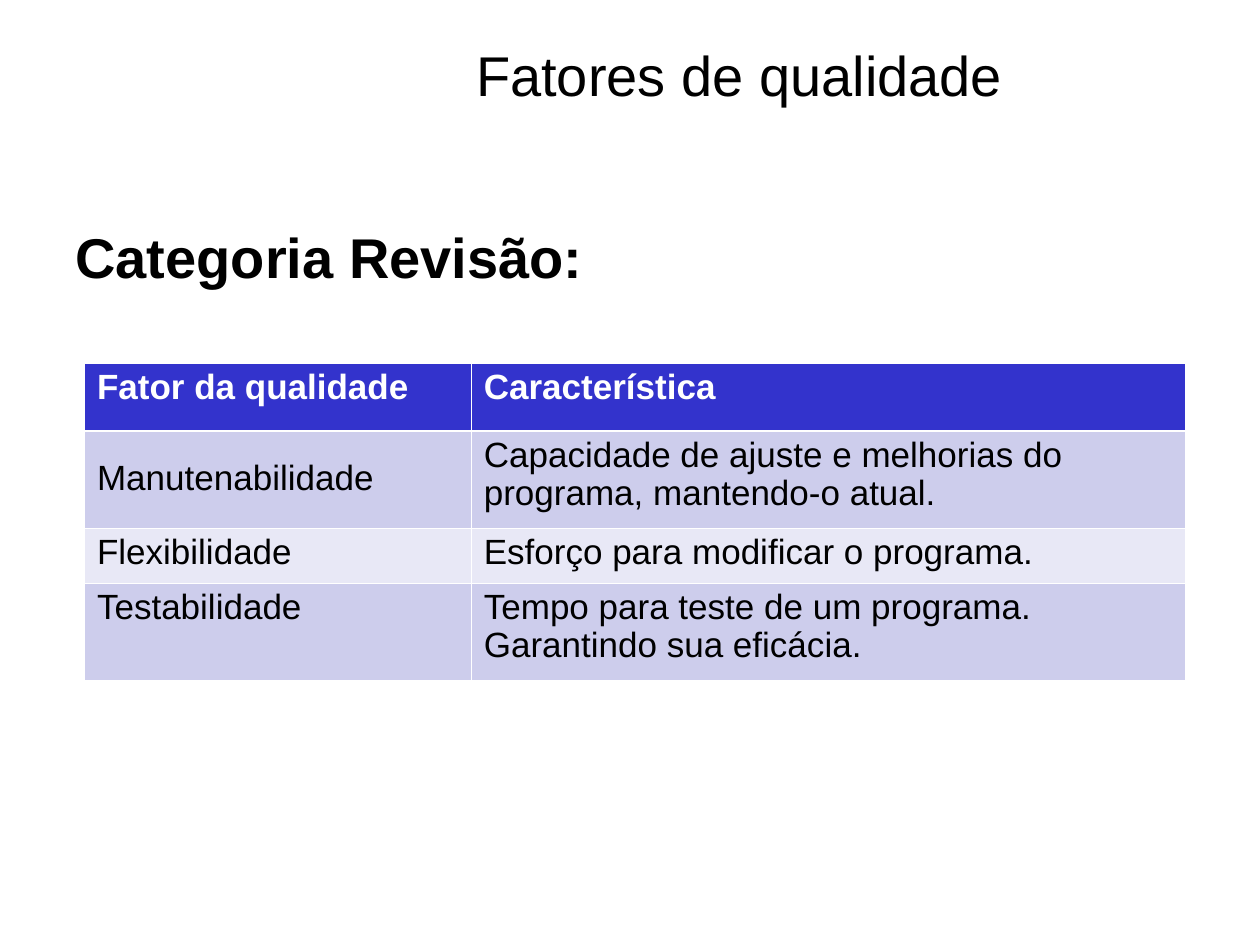
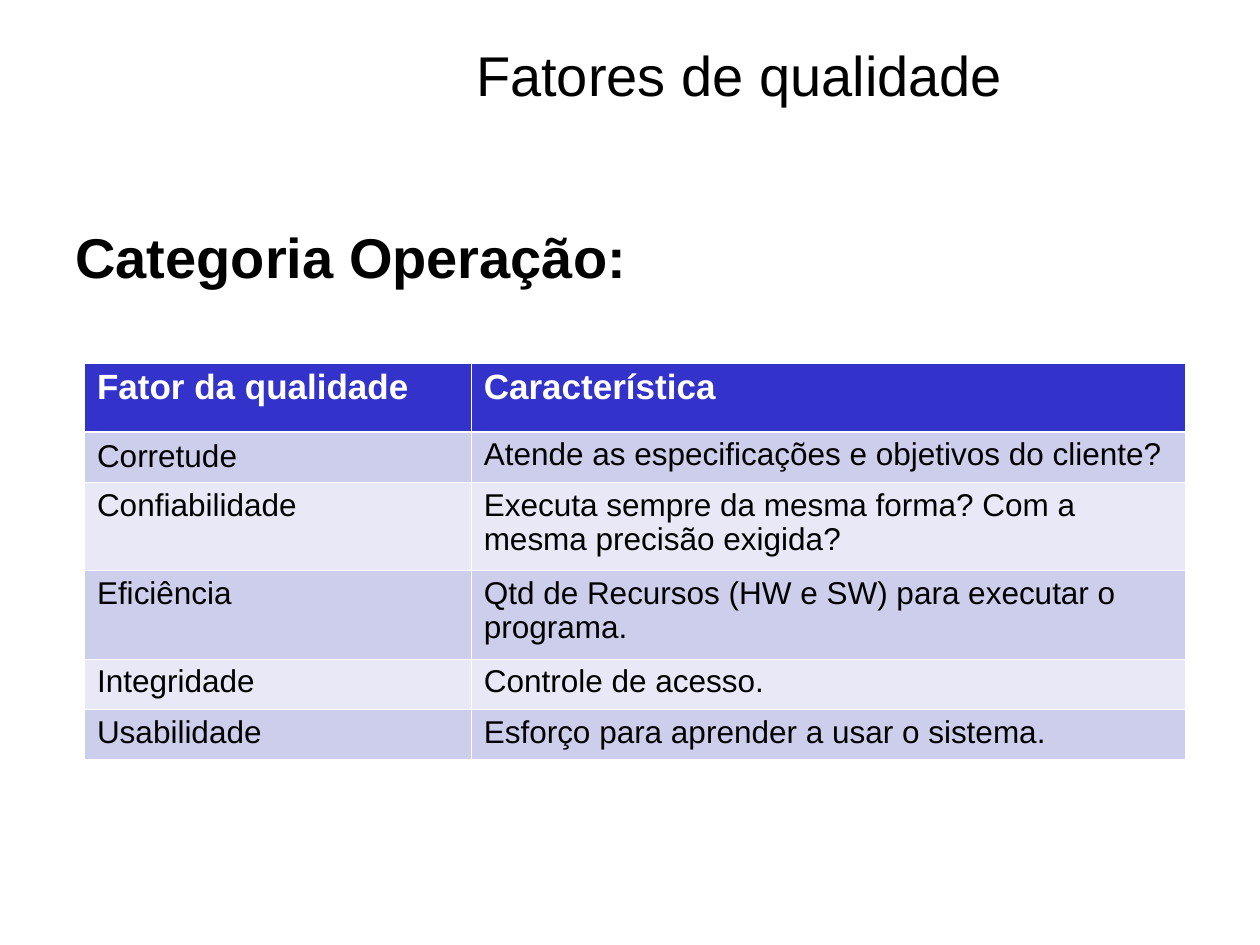
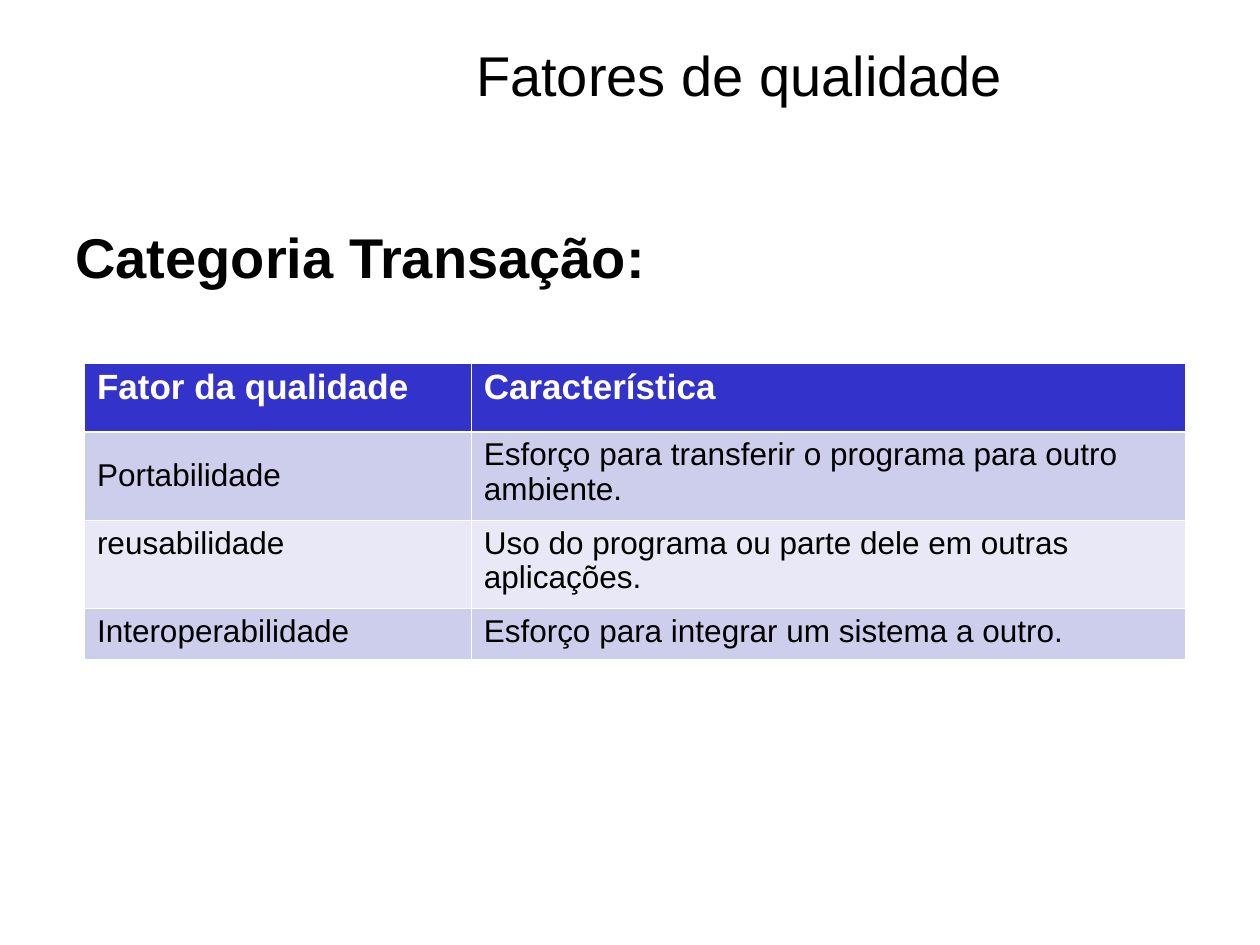
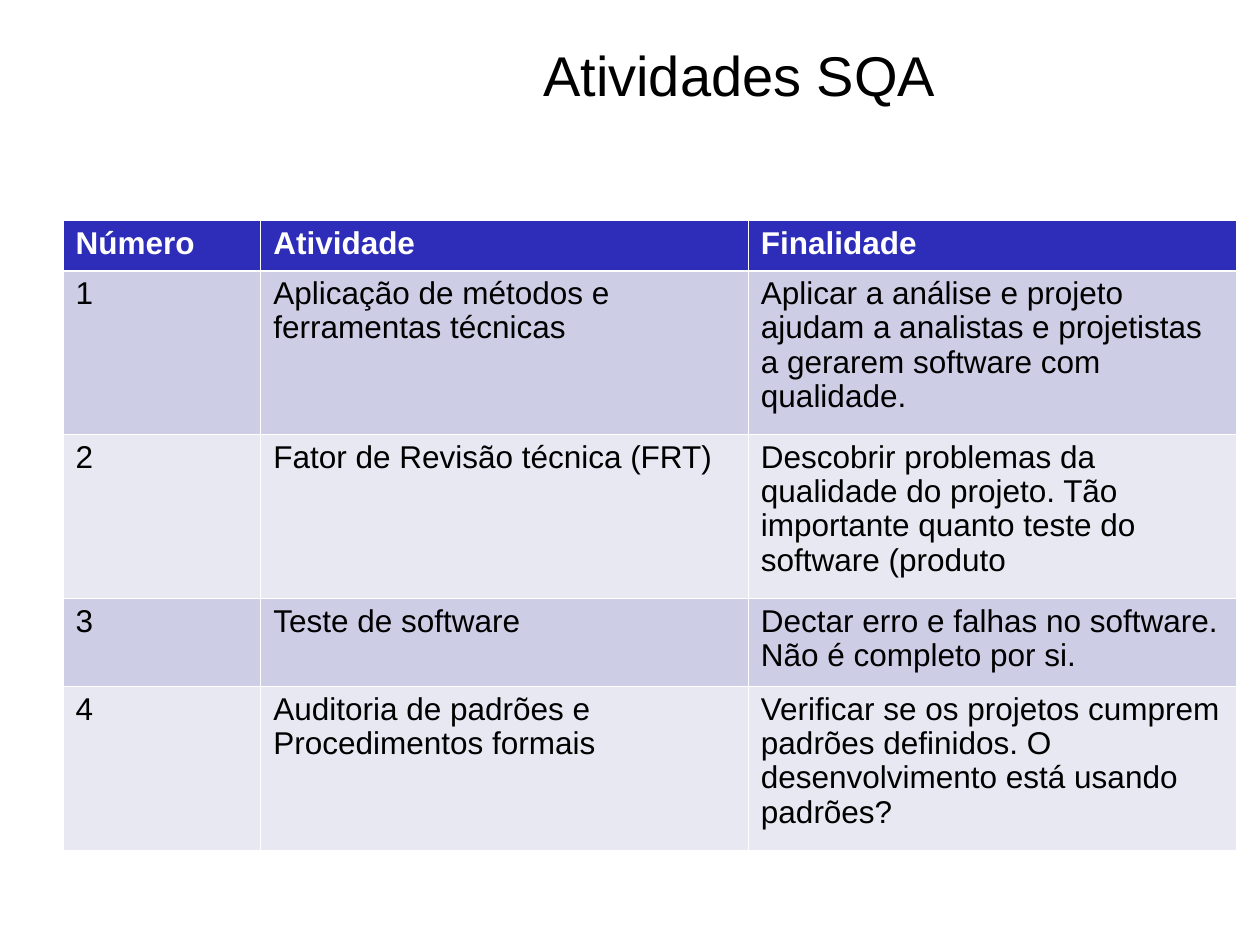
from lxml import etree
from pptx import Presentation
from pptx.dml.color import RGBColor
from pptx.enum.text import MSO_ANCHOR, PP_ALIGN
from pptx.oxml.ns import qn
from pptx.util import Inches, Pt

CENTER, LEFT = PP_ALIGN.CENTER, PP_ALIGN.LEFT
TOP, MIDDLE = MSO_ANCHOR.TOP, MSO_ANCHOR.MIDDLE
FONT = "Arial"
COLORS = {"text": "000000", "white": "FFFFFF"}
VIVID = {"header": "3333CC", "odd": "CDCDEC", "even": "E8E8F6"}
MUTED = {"header": "2D2DB9", "odd": "CDCDE6", "even": "E8E8F3"}
HEADING = {"size": Pt(32), "bold": False}
CATEGORY = {"size": Pt(32), "bold": True}
THIN, THICK = 0.45, 1.47
LINE_SPACING = 0.97
FACTOR_HEADER = ("Fator da qualidade", "Característica")

CATEGORIES = [
    ("Categoria Revisão:", 20, (0.54, 0.77, 0.44, 0.77), [
        ("Manutenabilidade",
         "Capacidade de ajuste e melhorias do programa, mantendo-o atual."),
        ("Flexibilidade", "Esforço para modificar o programa."),
        ("Testabilidade",
         "Tempo para teste de um programa. Garantindo sua eficácia."),
    ]),
    ("Categoria Operação:", 18, (0.55, 0.4, 0.7, 0.7, 0.4, 0.4), [
        ("Corretude", "Atende as especificações e objetivos do cliente?"),
        ("Confiabilidade",
         "Executa sempre da mesma forma? Com a mesma precisão exigida?"),
        ("Eficiência", "Qtd de Recursos (HW e SW) para executar o programa."),
        ("Integridade", "Controle de acesso."),
        ("Usabilidade", "Esforço para aprender a usar o sistema."),
    ]),
    ("Categoria Transação:", 18, (0.55, 0.7, 0.7, 0.4), [
        ("Portabilidade",
         "Esforço para transferir o programa para outro ambiente."),
        ("reusabilidade",
         "Uso do programa ou parte dele em outras aplicações."),
        ("Interoperabilidade", "Esforço para integrar um sistema a outro."),
    ]),
]

ACTIVITIES = [
    ("Número", "Atividade", "Finalidade"),
    ("1", "Aplicação de métodos e ferramentas técnicas",
     "Aplicar a análise e projeto ajudam a analistas e projetistas "
     "a gerarem software com qualidade."),
    ("2", "Fator de Revisão técnica (FRT)",
     "Descobrir problemas da qualidade do projeto. Tão importante "
     "quanto teste do software (produto"),
    ("3", "Teste de software",
     "Dectar erro e falhas no software. Não é completo por si."),
    ("4", "Auditoria de padrões e Procedimentos formais",
     "Verificar se os projetos cumprem padrões definidos. "
     "O desenvolvimento está usando padrões?"),
]


def write(tf, text, style, color="text", align=LEFT):
    p = tf.paragraphs[0]
    p.alignment = align
    p.line_spacing = LINE_SPACING
    r = p.add_run()
    r.text = text
    for name, value in {"name": FONT, **style}.items():
        setattr(r.font, name, value)
    r.font.color.rgb = RGBColor.from_string(COLORS[color])


def add_text(slide, box, text, style, align=LEFT):
    sp = slide.shapes.add_textbox(*map(Inches, box))
    tf = sp.text_frame
    tf.word_wrap = True
    tf.vertical_anchor = TOP
    write(tf, text, style, align=align)


def add_slide(prs, title):
    slide = prs.slides.add_slide(prs.slide_layouts[6])
    add_text(slide, (2.24, 0.3, 7.26, 0.85), title, HEADING, CENTER)
    return slide


def set_borders(cell, widths):
    tc_pr = cell._tc.get_or_add_tcPr()
    for i, (side, width) in enumerate(widths.items()):
        ln = etree.Element(qn(f"a:ln{side}"), w=str(Pt(width)))
        fill = etree.SubElement(ln, qn("a:solidFill"))
        etree.SubElement(fill, qn("a:srgbClr"), val=COLORS["white"])
        tc_pr.insert(i, ln)


def add_grid(slide, left, top, cols, heights, rows, palette, sizes):
    frame = slide.shapes.add_table(
        len(rows), len(cols), Inches(left), Inches(top),
        Inches(sum(cols)), Inches(sum(heights)))
    table = frame.table
    for column, width in zip(table.columns, cols):
        column.width = Inches(width)
    for i, (row, height, texts) in enumerate(zip(table.rows, heights, rows)):
        row.height = Inches(height)
        header = i == 0
        band = "header" if header else "odd" if i % 2 else "even"
        style = {"size": Pt(sizes[0] if header else sizes[1]), "bold": header}
        for cell, text in zip(row.cells, texts):
            cell.fill.solid()
            cell.fill.fore_color.rgb = RGBColor.from_string(palette[band])
            set_borders(cell, {"L": THIN, "R": THIN,
                               "T": THICK if i == 1 else THIN,
                               "B": THICK if header else THIN})
            write(cell.text_frame, text, style, "white" if header else "text")
    return table


def add_category(prs, name, size, heights, factors):
    slide = add_slide(prs, "Fatores de qualidade")
    add_text(slide, (0.5, 1.75, 9, 4.95), name, CATEGORY)
    table = add_grid(slide, 0.67, 2.88, (3.07, 5.67), heights,
                     [FACTOR_HEADER, *factors], VIVID, (20, size))
    table.cell(1, 0).vertical_anchor = MIDDLE


def main():
    prs = Presentation()
    prs.slide_width, prs.slide_height = Inches(10), Inches(7.5)
    for category in CATEGORIES:
        add_category(prs, *category)
    slide = add_slide(prs, "Atividades SQA")
    add_grid(slide, 0.5, 1.75, (1.57, 3.87, 3.87), (0.4, 1.3, 1.3, 0.7, 1.3),
             ACTIVITIES, MUTED, (18, 18))
    prs.save("out.pptx")


if __name__ == "__main__":
    main()
